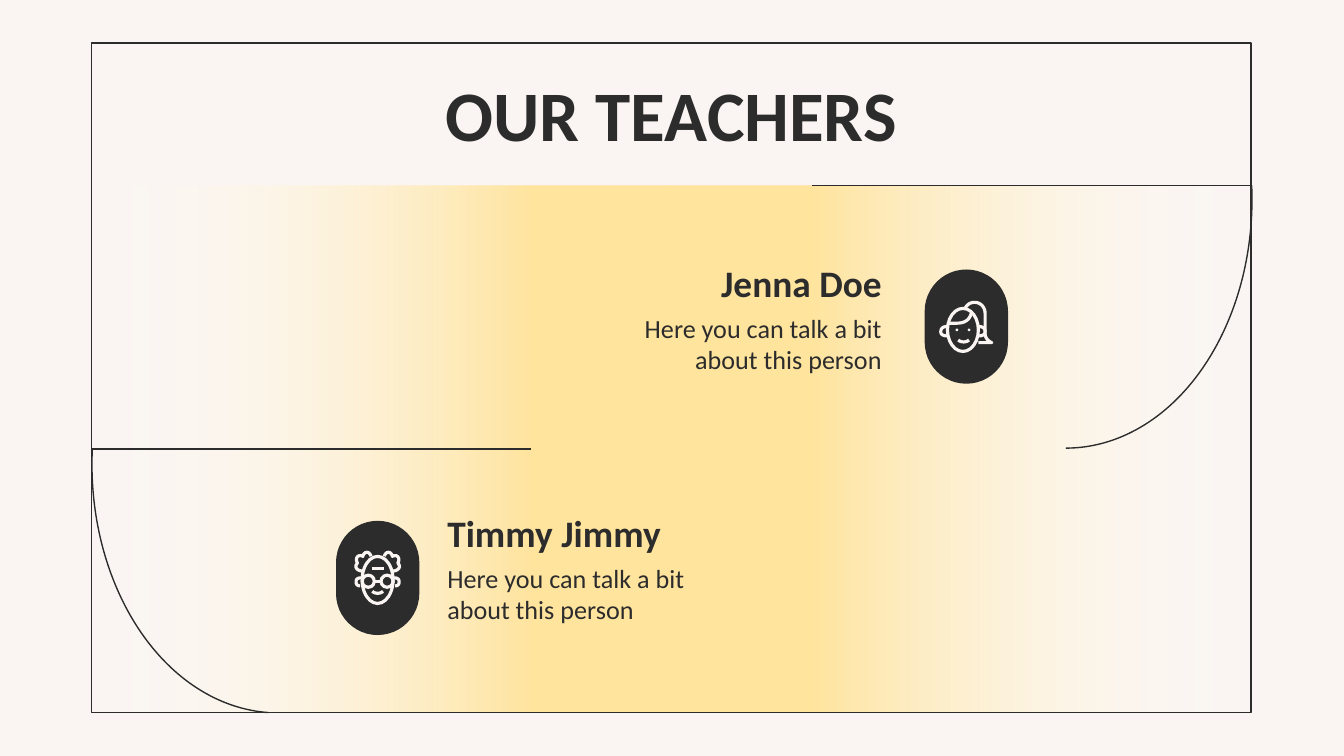
from pptx import Presentation
from pptx.dml.color import RGBColor
from pptx.enum.shapes import MSO_CONNECTOR, MSO_SHAPE
from pptx.enum.text import MSO_ANCHOR, PP_ALIGN
from pptx.oxml import parse_xml
from pptx.oxml.ns import nsdecls, qn
from pptx.util import Inches, Pt

LEFT, CENTER, RIGHT = PP_ALIGN.LEFT, PP_ALIGN.CENTER, PP_ALIGN.RIGHT
RECT, OVAL, PILL, ARC = (MSO_SHAPE.RECTANGLE, MSO_SHAPE.OVAL,
                         MSO_SHAPE.ROUNDED_RECTANGLE, MSO_SHAPE.ARC)
COLORS = {"paper": "FAF5F2", "ink": "2C2C2C", "glow": "FFE49E", "clear": "FFFFFF"}
FORMATS = {
    "title": {"name": "Calibri", "size": Pt(38), "bold": True},
    "name": {"name": "Calibri", "size": Pt(20), "bold": True},
    "about": {"name": "Calibri", "size": Pt(14), "bold": False},
}

# Icons are measured in hundredths of an inch from the centre of their pill.
# A stroke is a start point followed by lines (x, y) or curves (x1, y1, x2, y2, x, y).
SIDE_HAIR = [(-5, -16), (-6, -20, -10, -20, -11, -16), (-15, -18, -17, -14, -15, -11),
             (-18, -8, -15, -5, -11, -5)]
SIDE_EAR = [(-12, 0), (-15, 0, -16, 1, -16, 3), (-16, 5, -15, 6, -13, 6)]


def mirror(stroke):
    return [tuple(-v if i % 2 == 0 else v for i, v in enumerate(part)) for part in stroke]


PONYTAIL_GIRL = {
    "rings": [(-14, -13.5, 23, 32)],
    "dots": [(-8, 1.5, 2, 2), (1, 1.5, 2, 2)],
    "strokes": [
        [(-14, -2.5), (-7, -2.5), (0, -2.5, 3, -6, 4, -11)],
        [(-1, -13), (0, -16, 3, -18, 6, -18), (11, -18, 14, -14, 14, -10), (14, 5),
         (14, 8, 16, 11, 19, 12), (9, 12)],
        [(-14, 0), (-17, 0, -19, 1, -19, 4), (-19, 6, -17, 7, -14, 7)],
        [(9, 0), (12, 0, 14, 1, 14, 4), (14, 6, 12, 7, 9, 7)],
        [(-6, 10), (-4, 12, 0, 12, 2, 10)],
    ],
}
CURLY_MAN = {
    "rings": [(-11.5, -16, 23, 35), (-11.5, -2, 9, 9), (2.5, -2, 9, 9)],
    "dots": [],
    "strokes": [
        SIDE_HAIR, mirror(SIDE_HAIR), SIDE_EAR, mirror(SIDE_EAR),
        [(-2.5, 2.5), (2.5, 2.5)],
        [(-4.5, -7), (4.5, -7)],
        [(-4, 10), (-2, 12, 2, 12, 4, 10)],
    ],
}
TITLE = "OUR TEACHERS"
TEACHERS = [
    {"name": "Timmy Jimmy", "about": "Here you can talk a bit about this person",
     "text_at": (3.23, 3.7), "align": LEFT, "pill_center": (2.81, 4.3), "icon": CURLY_MAN},
    {"name": "Jenna Doe", "about": "Here you can talk a bit about this person",
     "text_at": (4.25, 1.84), "align": RIGHT, "pill_center": (7.19, 2.43),
     "icon": PONYTAIL_GIRL},
]

WIDTH = 10
HEIGHT = WIDTH * 9 / 16
FRAME_X, FRAME_Y, FRAME_W, FRAME_H = 0.68, 0.32, 8.63, 4.98
FRAME_RIGHT, FRAME_BOTTOM = FRAME_X + FRAME_W, FRAME_Y + FRAME_H
ROW_H = 1.96
ROW_TOPS = [FRAME_BOTTOM - 2 * ROW_H, FRAME_BOTTOM - ROW_H]
RULE_W = 3.27
TEXT_W, NAME_H, ABOUT_H, ABOUT_DROP = 2.41, 0.52, 0.63, 0.4
PILL_W, PILL_H = 0.62, 0.85
ARC_W, ARC_H, ARC_START = 3.7, 2.77, 159.38
FRAME_LINE, ICON_LINE = 0.75, 1.7
CURVE_STEPS = 12


def color(key):
    return RGBColor.from_string(COLORS[key])


def paint(shape, fill=None, line=None, weight=FRAME_LINE):
    shape.shadow.inherit = False
    if fill:
        shape.fill.solid()
        shape.fill.fore_color.rgb = color(fill)
    else:
        shape.fill.background()
    if line:
        shape.line.color.rgb = color(line)
        shape.line.width = Pt(weight)
    else:
        shape.line.fill.background()


def add_preset(shapes, kind, box, **look):
    shape = shapes.add_shape(kind, *map(Inches, box))
    paint(shape, **look)
    return shape


def flip(shape):
    shape._element.spPr.find(qn("a:xfrm")).set("flipH", "1")


def add_glow(shapes, box):
    """Add a panel that fades from the glow colour to nothing, left to right."""
    panel = add_preset(shapes, RECT, box)
    panel.fill.gradient()
    panel.fill.gradient_angle = 0
    stops = panel._element.spPr.find(qn("a:gradFill")).find(qn("a:gsLst"))
    stops.getparent().replace(stops, parse_xml(
        f'<a:gsLst {nsdecls("a")}>'
        f'<a:gs pos="0"><a:srgbClr val="{COLORS["glow"]}"/></a:gs>'
        f'<a:gs pos="24000"><a:srgbClr val="{COLORS["glow"]}"/></a:gs>'
        f'<a:gs pos="100000"><a:srgbClr val="{COLORS["clear"]}"><a:alpha val="0"/>'
        '</a:srgbClr></a:gs></a:gsLst>'))
    return panel


def add_rule(shapes, x, y):
    rule = shapes.add_connector(MSO_CONNECTOR.STRAIGHT, Inches(x), Inches(y),
                                Inches(x + RULE_W), Inches(y))
    rule.line.color.rgb = color("ink")
    rule.line.width = Pt(FRAME_LINE)
    rule._element.spPr.append(parse_xml(f'<a:effectLst {nsdecls("a")}/>'))


def add_arc(shapes, x, y, rotation, end):
    arc = add_preset(shapes, ARC, (x, y, ARC_W, ARC_H), line="ink")
    arc.adjustments[0], arc.adjustments[1] = ARC_START, end
    arc.rotation = rotation
    return arc


def add_text(shapes, box, text, style, align):
    frame = shapes.add_textbox(*map(Inches, box)).text_frame
    frame.word_wrap = True
    frame.vertical_anchor = MSO_ANCHOR.MIDDLE
    for side in ("left", "top", "right", "bottom"):
        setattr(frame, f"margin_{side}", Inches(0.1))
    para = frame.paragraphs[0]
    para.alignment = align
    span = para.add_run()
    span.text = text
    for key, value in FORMATS[style].items():
        setattr(span.font, key, value)
    span.font.color.rgb = color("ink")


def trace(stroke):
    """Turn a stroke into the points of a fine polyline."""
    points = [stroke[0]]
    for part in stroke[1:]:
        if len(part) == 2:
            points.append(part)
            continue
        corners = [points[-1], part[:2], part[2:4], part[4:]]
        for step in range(1, CURVE_STEPS + 1):
            t = step / CURVE_STEPS
            weights = ((1 - t) ** 3, 3 * t * (1 - t) ** 2, 3 * t * t * (1 - t), t ** 3)
            points.append(tuple(sum(w * c[axis] for w, c in zip(weights, corners))
                                for axis in (0, 1)))
    return points


def add_icon(page, center, icon):
    shapes = page.shapes.add_group_shape().shapes
    x, y = center
    pill = add_preset(shapes, PILL, (x - PILL_W / 2, y - PILL_H / 2, PILL_W, PILL_H),
                      fill="ink")
    pill.adjustments[0] = 0.5
    for part, look in (("rings", {"line": "paper", "weight": ICON_LINE}),
                       ("dots", {"fill": "paper"})):
        for left, top, width, height in icon[part]:
            add_preset(shapes, OVAL, (x + left / 100, y + top / 100,
                                      width / 100, height / 100), **look)
    for stroke in icon["strokes"]:
        points = [(Inches(x + a / 100), Inches(y + b / 100)) for a, b in trace(stroke)]
        builder = shapes.build_freeform(*points[0])
        builder.add_line_segments(points[1:], close=False)
        paint(builder.convert_to_shape(), line="paper", weight=ICON_LINE)


deck = Presentation()
deck.slide_width, deck.slide_height = Inches(WIDTH), Inches(HEIGHT)
page = deck.slides.add_slide(deck.slide_layouts[6])
page.background.fill.solid()
page.background.fill.fore_color.rgb = color("paper")

half = FRAME_W / 2
flip(add_glow(page.shapes, (FRAME_X, ROW_TOPS[0], half, 2 * ROW_H)))
add_glow(page.shapes, (FRAME_X + half, ROW_TOPS[0], half, 2 * ROW_H))
add_preset(page.shapes, RECT, (FRAME_X, FRAME_Y, FRAME_W, FRAME_H), line="ink")
add_rule(page.shapes, FRAME_RIGHT - RULE_W, ROW_TOPS[0])
add_rule(page.shapes, FRAME_X, ROW_TOPS[1])
flip(add_arc(page.shapes, 0.22, 2.07, 270, 214.63))
add_arc(page.shapes, 6.08, 0.1, 90, 215.98)

add_text(page.shapes, (2.44, 0.53, 5.11, 0.63), TITLE, "title", CENTER)
for teacher in TEACHERS:
    x, y = teacher["text_at"]
    add_text(page.shapes, (x, y + ABOUT_DROP, TEXT_W, ABOUT_H), teacher["about"], "about",
             teacher["align"])
    add_text(page.shapes, (x, y, TEXT_W, NAME_H), teacher["name"], "name", teacher["align"])
    add_icon(page, teacher["pill_center"], teacher["icon"])

deck.save("out.pptx")
